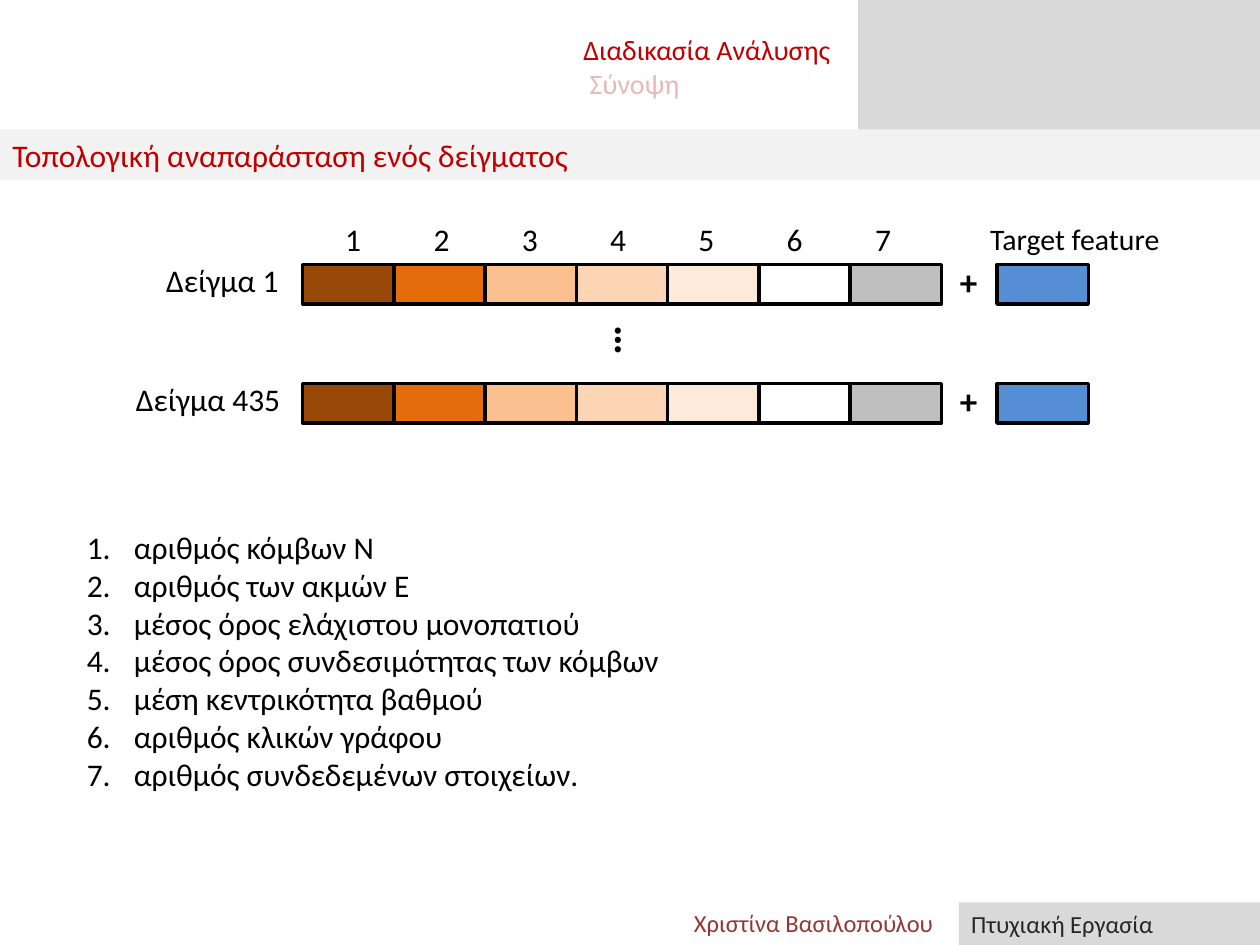
from lxml import etree
from pptx import Presentation
from pptx.dml.color import RGBColor
from pptx.enum.shapes import MSO_SHAPE
from pptx.enum.text import MSO_ANCHOR, PP_ALIGN
from pptx.oxml.ns import qn
from pptx.util import Cm, Pt

RECTANGLE = MSO_SHAPE.RECTANGLE
MIDDLE = MSO_ANCHOR.MIDDLE
LEFT = PP_ALIGN.LEFT
FONT = "Calibri"
COLORS = {
    "black": "000000",
    "red": "C00000",
    "pale red": "E6B9B8",
    "dark red": "953735",
    "charcoal": "262626",
    "gray": "D9D9D9",
    "light gray": "F2F2F2",
    "target": "558ED5",
}
FEATURE_COLORS = ["984807", "E46C0A", "FAC090", "FCD5B5", "FDEADA", "FFFFFF", "BFBFBF"]
FEATURES = [
    "αριθμός κόμβων Ν",
    "αριθμός των ακμών E",
    "μέσος όρος ελάχιστου μονοπατιού",
    "μέσος όρος συνδεσιμότητας των κόμβων",
    "μέση κεντρικότητα βαθμού",
    "αριθμός κλικών γράφου",
    "αριθμός συνδεδεμένων στοιχείων.",
]

prs = Presentation()
prs.slide_width, prs.slide_height = Cm(25.4), Cm(19.05)
slide = prs.slides.add_slide(prs.slide_layouts[6])


def add_box(left, top, width, height, fill, outlined=False):
    box = slide.shapes.add_shape(RECTANGLE, Cm(left), Cm(top), Cm(width), Cm(height))
    box.shadow.inherit = False
    box.fill.solid()
    box.fill.fore_color.rgb = RGBColor.from_string(fill)
    if outlined:
        box.line.color.rgb = RGBColor.from_string(COLORS["black"])
        box.line.width = Pt(2)
    else:
        box.line.fill.background()
    box.text_frame.vertical_anchor = MIDDLE
    return box


def write(shape, lines, size, bold=False):
    """Fill the shape with one paragraph for each (text, color name) pair."""
    frame = shape.text_frame
    frame.word_wrap = True
    for index, (text, color) in enumerate(lines):
        paragraph = frame.add_paragraph() if index else frame.paragraphs[0]
        paragraph.alignment = LEFT
        run = paragraph.add_run()
        run.text = text
        run.font.name = FONT
        run.font.size = Pt(size)
        run.font.bold = bold
        run.font.color.rgb = RGBColor.from_string(COLORS[color])
    return frame.paragraphs


# Header and footer
add_box(17.3, 0, 8.1, 3.05, COLORS["gray"])
title_band = add_box(0, 2.61, 25.4, 1.02, COLORS["light gray"])
write(title_band, [("Τοπολογική αναπαράσταση ενός δείγματος", "red")], 18)
sections = slide.shapes.add_textbox(Cm(11.51), Cm(0.53), Cm(8.99), Cm(2.31))
write(sections, [("Διαδικασία Ανάλυσης", "red"), (" Σύνοψη", "pale red")], 16)
author = slide.shapes.add_textbox(Cm(13.74), Cm(18.19), Cm(9.9), Cm(0.86))
write(author, [("Χριστίνα Βασιλοπούλου", "dark red")], 14)
footer = add_box(19.33, 18.19, 6.07, 0.86, COLORS["gray"])
write(footer, [("Πτυχιακή Εργασία", "charcoal")], 14)

# Numbered feature list
feature_list = slide.shapes.add_textbox(Cm(1.5), Cm(10.52), Cm(22.4), Cm(5.64))
for paragraph in write(feature_list, [(name, "black") for name in FEATURES], 18):
    properties = paragraph._p.get_or_add_pPr()
    properties.set("marL", str(Cm(0.95)))
    properties.set("indent", str(-Cm(0.95)))
    etree.SubElement(properties, qn("a:buAutoNum"), type="arabicPeriod")

# Sample rows: seven features plus the target
CELL_WIDTH, CELL_HEIGHT, FIRST_CELL = 1.84, 0.8, 6.1
for sample, label_left, top in [("Δείγμα 1", 3.1, 5.33), ("Δείγμα 435", 2.49, 7.73)]:
    for column, color in enumerate(FEATURE_COLORS):
        add_box(FIRST_CELL + column * CELL_WIDTH, top, CELL_WIDTH, CELL_HEIGHT, color, True)
    add_box(20.1, top, CELL_WIDTH, CELL_HEIGHT, COLORS["target"], True)
    label = slide.shapes.add_textbox(Cm(label_left), Cm(top - 0.2), Cm(3.61), Cm(1.02))
    write(label, [(sample, "black")], 18)
    plus = slide.shapes.add_textbox(Cm(19.1), Cm(top - 0.2), Cm(0.9), Cm(1.12))
    write(plus, [("+", "black")], 20, bold=True)

more_samples = slide.shapes.add_textbox(Cm(12.14), Cm(6.27), Cm(1.19), Cm(1.27))
more_samples.rotation = 90
write(more_samples, [("…", "black")], 24, bold=True)

# Column headings, spaced by tab stops
numbers = slide.shapes.add_textbox(Cm(6.71), Cm(4.32), Cm(12.19), Cm(1.02))
heading = "\t".join(str(number + 1) for number in range(len(FEATURES)))
heading_paragraph = write(numbers, [(heading, "black")], 18)[0]
tab_stops = etree.SubElement(heading_paragraph._p.get_or_add_pPr(), qn("a:tabLst"))
for column in range(1, len(FEATURES)):
    etree.SubElement(tab_stops, qn("a:tab"), pos=str(Cm(1.78 * column)), algn="l")
target_heading = slide.shapes.add_textbox(Cm(19.71), Cm(4.32), Cm(4.6), Cm(0.99))
write(target_heading, [("Target feature", "black")], 17)

prs.save("out.pptx")
